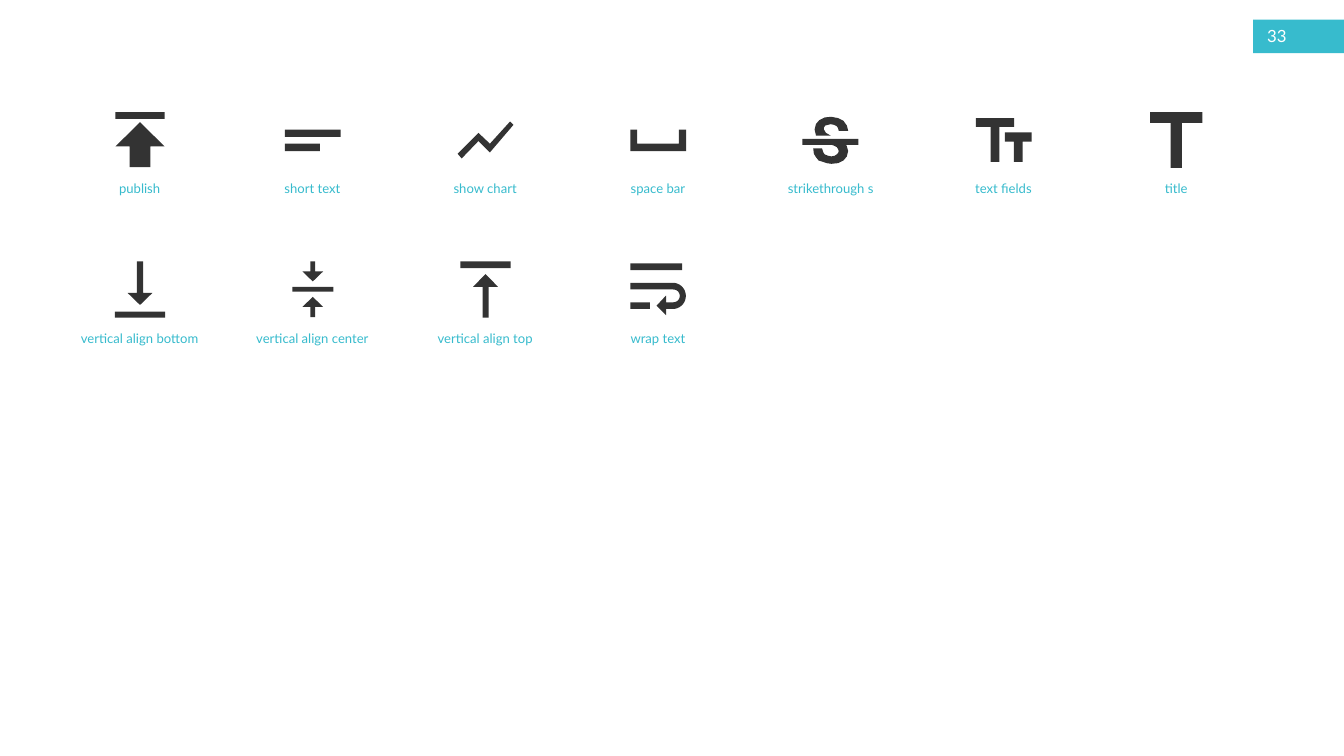
"""Build the icon sheet page with text-formatting icons and their labels."""
from dataclasses import dataclass
from math import cos, radians, sin

from pptx import Presentation
from pptx.dml.color import RGBColor
from pptx.enum.shapes import MSO_SHAPE
from pptx.enum.text import MSO_ANCHOR, MSO_AUTO_SIZE, PP_ALIGN
from pptx.slide import Slide
from pptx.util import Cm, Pt

COLORS = {"accent": "37BBCD", "icon": "333333", "light": "FFFFFF"}
FONT = "Lato"
COLUMNS = 7
FIRST_CENTER = 5.28
COLUMN_STEP = 6.53
ROW_STEP = 5.64
LABEL_WIDTH = 7.06
LABEL_DROP = 1.43
PRECISION = 100
ICON_SCALE = Cm(2.54) / 100 / PRECISION

Outline = list[tuple[float, float]]


@dataclass(frozen=True)
class Icon:
    label: str
    outlines: list[Outline]


def bar(left: float, top: float, right: float, bottom: float) -> Outline:
    return [(left, top), (right, top), (right, bottom), (left, bottom)]


def arrow(tip: float, neck: float, tail: float, head: float, stem: float) -> Outline:
    middle = 0.5
    return [
        (middle, tip), (middle + head, neck), (middle + stem, neck), (middle + stem, tail),
        (middle - stem, tail), (middle - stem, neck), (middle - head, neck),
    ]


def half_turn(x: float, y: float, radius: float) -> Outline:
    angles = [radians(angle) for angle in range(-90, 91, 10)]
    return [(x + radius * cos(angle), y + radius * sin(angle)) for angle in angles]


def letter_t(left: float, top: float, right: float, bottom: float,
             beam: float, stem: float) -> Outline:
    middle = (left + right) / 2
    return [
        (left, top), (right, top), (right, top + beam), (middle + stem / 2, top + beam),
        (middle + stem / 2, bottom), (middle - stem / 2, bottom),
        (middle - stem / 2, top + beam), (left, top + beam),
    ]


CHART_LINE = [(-35, 28), (-10, 2), (7, 19), (42, -22), (37, -27), (7, 6), (-10, -10), (-41, 21)]
SPACE_BAR = [(31, -15), (31, 6), (-31, 6), (-31, -15), (-41, -15), (-41, 17), (42, 17), (42, -15)]
STRUCK_S_TOP = [
    (-22, -7), (-24, -15), (-22, -23), (-17, -29), (-9, -33), (1, -34), (11, -32), (19, -28),
    (24, -21), (26, -13), (12, -13), (11, -17), (9, -20), (5, -22), (0, -23), (-4, -22),
    (-8, -21), (-10, -18), (-10, -15), (-7, -10), (0, -6), (-22, -6),
]
STRUCK_S_BOTTOM = [
    (41, 8), (41, -1), (-42, -1), (-42, 8), (2, 8), (5, 9), (9, 11), (11, 14), (12, 17),
    (11, 20), (9, 22), (6, 24), (1, 25), (-4, 24), (-9, 22), (-11, 19), (-13, 13), (-26, 13),
    (-25, 21), (-22, 26), (-18, 31), (-12, 33), (-6, 35), (1, 36), (11, 35), (19, 31),
    (24, 25), (26, 17), (24, 10), (23, 8),
]
WRAP_ARROW = [
    (-41, -9), (-41, 1), *half_turn(23, 10.5, 9.5), (12, 20), (12, 10), (-2, 25), (12, 39),
    (12, 30), *reversed(half_turn(22, 10.5, 19.5)),
]

ICONS = [
    Icon("publish", [bar(-36, -41, 37, -31), arrow(-26, 10, 41, 36.5, 15.5)]),
    Icon("short text", [bar(-41, -15, 42, -4), bar(-41, 6, 11, 17)]),
    Icon("show chart", [CHART_LINE]),
    Icon("space bar", [SPACE_BAR]),
    Icon("strikethrough s", [STRUCK_S_TOP, STRUCK_S_BOTTOM]),
    Icon("text fields", [letter_t(-41, -32, 16, 33, 13, 13), letter_t(2, -11, 42, 33, 14, 13)]),
    Icon("title", [letter_t(-39, -41, 39, 42, 16, 17)]),
    Icon("vertical align bottom", [arrow(24, 6, -41, 18.5, 4.5), bar(-37, 34, 38, 43)]),
    Icon("vertical align center", [
        arrow(12, 27, 42, 15.5, 3.5), arrow(-11, -26, -41, 15.5, 3.5), bar(-30, -3, 31, 4),
    ]),
    Icon("vertical align top", [arrow(-22, -3, 43, 18.5, 4.5), bar(-37, -41, 38, -31)]),
    Icon("wrap text", [bar(-41, 20, -12, 30), bar(-41, -38, 36, -28), WRAP_ARROW]),
]


def paint(shape, color: str) -> None:
    shape.shadow.inherit = False
    shape.fill.solid()
    shape.fill.fore_color.rgb = RGBColor.from_string(COLORS[color])
    shape.line.fill.background()


def add_text(page: Slide, text: str, left: float, top: float, width: float, height: float, *,
             size: int, color: str, align=PP_ALIGN.LEFT, anchor=MSO_ANCHOR.TOP,
             fit=MSO_AUTO_SIZE.NONE) -> None:
    box = page.shapes.add_textbox(Cm(left), Cm(top), Cm(width), Cm(height))
    frame = box.text_frame
    frame.word_wrap = True
    frame.auto_size = fit
    frame.vertical_anchor = anchor
    para = frame.paragraphs[0]
    para.alignment = align
    span = para.add_run()
    span.text = text
    span.font.name = FONT
    span.font.size = Pt(size)
    span.font.color.rgb = RGBColor.from_string(COLORS[color])


def draw_icon(page: Slide, icon: Icon, x: float, y: float) -> None:
    outlines = [[(px * PRECISION, py * PRECISION) for px, py in outline]
                for outline in icon.outlines]
    builder = page.shapes.build_freeform(*outlines[0][0], scale=ICON_SCALE)
    for index, outline in enumerate(outlines):
        if index:
            builder.move_to(*outline[0])
        builder.add_line_segments(outline[1:], close=True)
    paint(builder.convert_to_shape(Cm(x), Cm(y)), "icon")
    add_text(page, icon.label, x - LABEL_WIDTH / 2, y + LABEL_DROP, LABEL_WIDTH, 0.86,
             size=14, color="accent", align=PP_ALIGN.CENTER, fit=MSO_AUTO_SIZE.SHAPE_TO_FIT_TEXT)


def draw_page_number(page: Slide, number: str) -> None:
    tag = page.shapes.add_shape(MSO_SHAPE.RECTANGLE, Cm(47.37), Cm(0.74), Cm(3.43), Cm(1.27))
    paint(tag, "accent")
    add_text(page, number, 47.65, 0.71, 1.7, 1.27,
             size=18, color="light", anchor=MSO_ANCHOR.MIDDLE)


def main() -> None:
    deck = Presentation()
    deck.slide_width, deck.slide_height = Cm(50.8), Cm(28.58)
    page = deck.slides.add_slide(deck.slide_layouts[6])
    draw_page_number(page, "33")
    for index, icon in enumerate(ICONS):
        row, column = divmod(index, COLUMNS)
        draw_icon(page, icon, FIRST_CENTER + column * COLUMN_STEP, FIRST_CENTER + row * ROW_STEP)
    deck.save("out.pptx")


if __name__ == "__main__":
    main()
